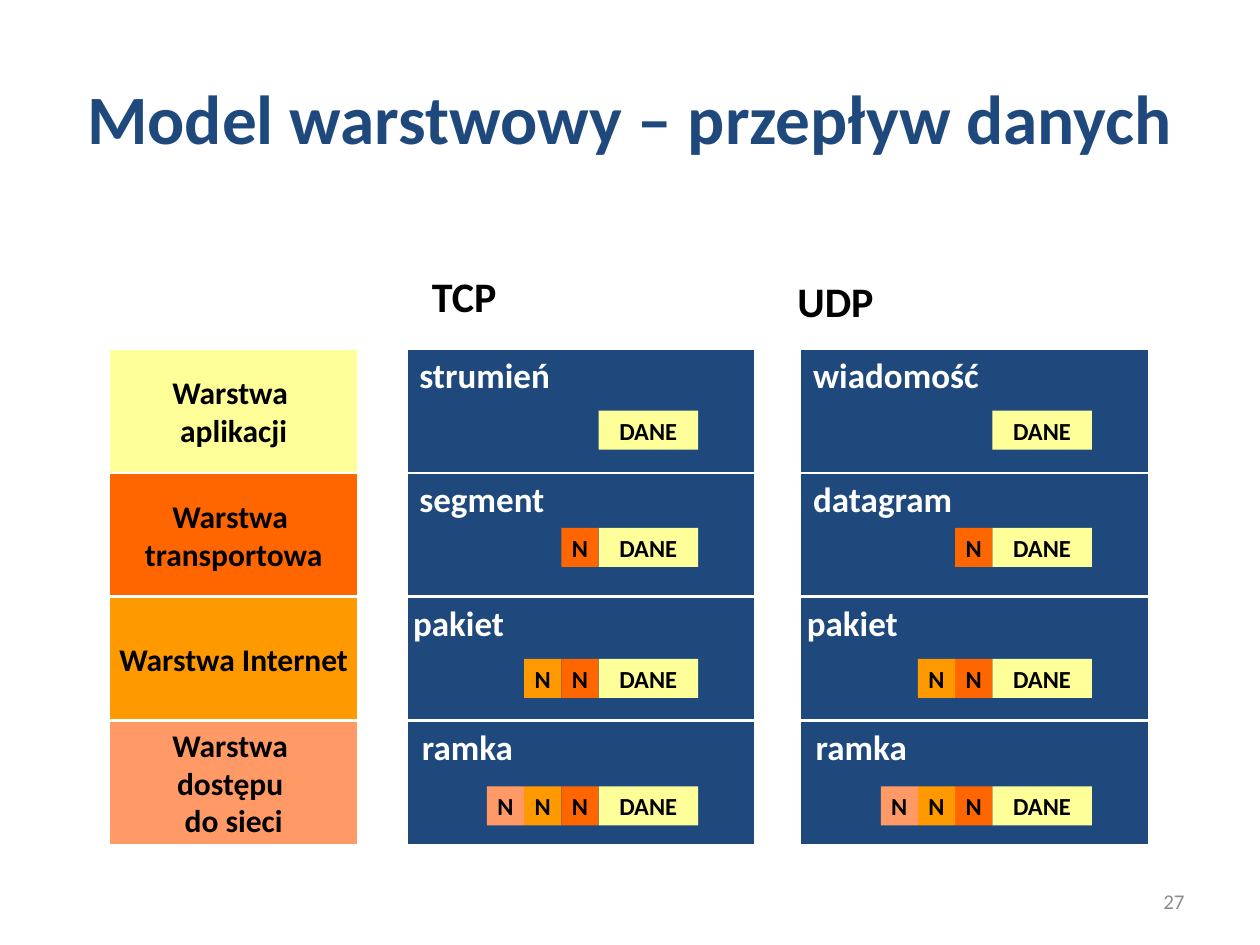
from dataclasses import dataclass

from lxml.etree import SubElement
from pptx import Presentation
from pptx.dml.color import RGBColor
from pptx.enum.shapes import MSO_CONNECTOR, MSO_SHAPE
from pptx.enum.text import MSO_ANCHOR, MSO_AUTO_SIZE, PP_ALIGN
from pptx.oxml.ns import qn
from pptx.shapes.base import BaseShape
from pptx.slide import Slide
from pptx.util import Inches, Pt

FONT = "Calibri"
NAVY, WHITE, BLACK, GREY = "1F497D", "FFFFFF", "000000", "8C8C8C"
GRID_TOP, ROW_HEIGHT = 2.77, 0.983
LAYER_LEFT, LAYER_WIDTH = 0.87, 1.97
STACK_WIDTH = 2.76
DATA_OFFSET, DATA_WIDTH = 1.52, 0.79
HEADER_WIDTH, UNIT_HEIGHT = 0.295, 0.31
RULE_LEFT, RULE_RIGHT = 0.52, 9.13


@dataclass(frozen=True)
class Area:
    left: float
    top: float
    width: float
    height: float


@dataclass(frozen=True)
class Layer:
    lines: tuple[str, ...]
    fill: str
    unit_top: float
    name_shift: float


@dataclass(frozen=True)
class Stack:
    heading: str
    heading_area: Area
    left: float
    names: tuple[str, ...]
    name_widths: tuple[float, ...]


LAYERS = (
    Layer(("Warstwa ", "aplikacji"), "FFFF99", 3.26, 0),
    Layer(("Warstwa ", "transportowa"), "FF6600", 4.19, 0),
    Layer(("Warstwa Internet",), "FF9900", 5.23, -0.05),
    Layer(("Warstwa ", "dostępu ", "do sieci"), "FF9966", 6.24, 0.02),
)
STACKS = (
    Stack("TCP", Area(3.33, 2.1, 0.71, 0.5), 3.23,
          ("strumień", "segment", "pakiet", "ramka"), (1.38, 1.38, 1.31, 0.96)),
    Stack("UDP", Area(6.23, 2.14, 0.81, 0.5), 6.355,
          ("wiadomość", "datagram", "pakiet", "ramka"), (1.72, 1.38, 1.31, 0.96)),
)


def color(value: str) -> RGBColor:
    return RGBColor.from_string(value)


def place(area: Area) -> tuple[int, ...]:
    return tuple(Inches(n) for n in (area.left, area.top, area.width, area.height))


def write(box: BaseShape, lines: tuple[str, ...], size: float, ink: str,
          align: PP_ALIGN = PP_ALIGN.LEFT, anchor: MSO_ANCHOR = MSO_ANCHOR.TOP,
          bold: bool = True, wrap: bool = True) -> None:
    frame = box.text_frame
    frame.auto_size = MSO_AUTO_SIZE.NONE
    frame.word_wrap = wrap
    frame.vertical_anchor = anchor
    para = frame.paragraphs[0]
    para.alignment = align
    for index, line in enumerate(lines):
        if index:
            para.add_line_break()
        span = para.add_run()
        span.text = line
        span.font.name = FONT
        span.font.size = Pt(size)
        span.font.bold = bold
        span.font.color.rgb = color(ink)


def add_label(page: Slide, area: Area, text: str, size: float, ink: str, **style) -> None:
    write(page.shapes.add_textbox(*place(area)), (text,), size, ink, **style)


def add_block(page: Slide, area: Area, fill: str, lines: tuple[str, ...] = (),
              size: float = 14, outlined: bool = False) -> None:
    box = page.shapes.add_shape(MSO_SHAPE.RECTANGLE, *place(area))
    box.shadow.inherit = False
    box.fill.solid()
    box.fill.fore_color.rgb = color(fill)
    if outlined:
        box.line.color.rgb = color(WHITE)
        box.line.width = Pt(0.75)
    else:
        box.line.fill.background()
    if lines:
        write(box, lines, size, BLACK, PP_ALIGN.CENTER, MSO_ANCHOR.MIDDLE, wrap=False)


def row_top(row: int) -> float:
    return GRID_TOP + row * ROW_HEIGHT


def add_rule(page: Slide, top: float) -> None:
    rule = page.shapes.add_connector(
        MSO_CONNECTOR.STRAIGHT, Inches(RULE_LEFT), Inches(top), Inches(RULE_RIGHT), Inches(top))
    rule.line.color.rgb = color(WHITE)
    rule.line.width = Pt(1.5)
    SubElement(rule._element.spPr, qn("a:effectLst"))


def add_data_unit(page: Slide, left: float, row: int) -> None:
    top = LAYERS[row].unit_top
    add_block(page, Area(left, top, DATA_WIDTH, UNIT_HEIGHT), LAYERS[0].fill, ("DANE",))
    for step in range(1, row + 1):
        area = Area(left - step * HEADER_WIDTH, top, HEADER_WIDTH, UNIT_HEIGHT)
        add_block(page, area, LAYERS[step].fill, ("N",))


def add_stack_labels(page: Slide, stack: Stack) -> None:
    add_label(page, stack.heading_area, stack.heading, 24, BLACK, wrap=False)
    for row, (layer, name, width) in enumerate(zip(LAYERS, stack.names, stack.name_widths)):
        area = Area(stack.left + layer.name_shift, row_top(row) - 0.01, width, 0.44)
        add_label(page, area, name, 20, WHITE)
        add_data_unit(page, stack.left + DATA_OFFSET, row)


def main() -> None:
    deck = Presentation()
    deck.slide_width, deck.slide_height = Inches(10), Inches(7.5)
    page = deck.slides.add_slide(deck.slide_layouts[5])

    title = page.shapes.title
    title.left, title.top, title.width, title.height = place(Area(0.5, 0.3, 9, 1.25))
    write(title, ("Model warstwowy – przepływ danych",), 39.6, NAVY,
          PP_ALIGN.CENTER, MSO_ANCHOR.MIDDLE)

    for stack in STACKS:
        area = Area(stack.left, GRID_TOP, STACK_WIDTH, len(LAYERS) * ROW_HEIGHT)
        add_block(page, area, NAVY, outlined=True)
    for row, layer in enumerate(LAYERS):
        area = Area(LAYER_LEFT, row_top(row), LAYER_WIDTH, ROW_HEIGHT)
        add_block(page, area, layer.fill, layer.lines, 18, outlined=True)
    for row in range(1, len(LAYERS)):
        add_rule(page, row_top(row))
    for stack in STACKS:
        add_stack_labels(page, stack)

    add_label(page, Area(7.17, 6.95, 2.33, 0.4), "27", 12, GREY,
              align=PP_ALIGN.RIGHT, anchor=MSO_ANCHOR.MIDDLE, bold=False)
    deck.save("out.pptx")


if __name__ == "__main__":
    main()
